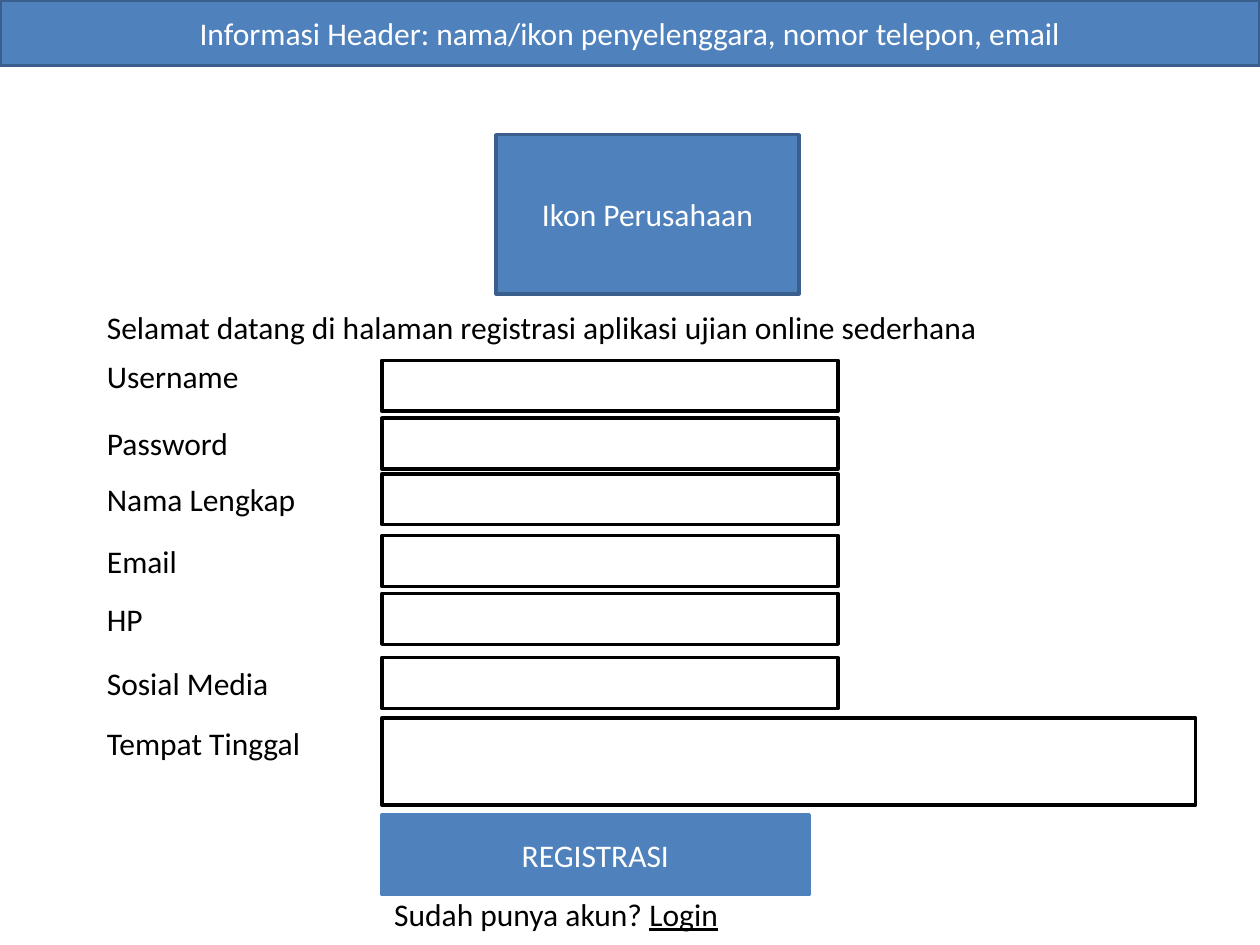
from pptx import Presentation
from pptx.dml.color import RGBColor as Rgb
from pptx.enum.shapes import MSO_SHAPE as Preset
from pptx.enum.text import MSO_ANCHOR as Anchor, MSO_AUTO_SIZE as AutoSize, PP_ALIGN as Align
from pptx.util import Pt

COLORS = {"blue": "4F81BD", "navy": "3A5F8C", "white": "FFFFFF", "black": "000000"}
FONT = {"name": "Calibri", "size": Pt(18)}
LABEL_FRAME = {"word_wrap": True, "auto_size": AutoSize.SHAPE_TO_FIT_TEXT}
BLOCK_FRAME = {"word_wrap": True, "vertical_anchor": Anchor.MIDDLE}

LEFT, FIELD_LEFT = 54, 218.2
LINE_HEIGHT = 29.1

# Label, label top, field top, field width, field height
FIELDS = [
    ("Username", 200.2, 205.9, 260.6, LINE_HEIGHT),
    ("Password", 239, 239, 260.6, LINE_HEIGHT),
    ("Nama Lengkap", 270.7, 270.7, 260.6, LINE_HEIGHT),
    ("Email", 306, 306, 260.6, LINE_HEIGHT),
    ("HP", 339.1, 339.1, 260.6, LINE_HEIGHT),
    ("Sosial Media", 375.8, 375.8, 260.6, LINE_HEIGHT),
    ("Tempat Tinggal", 410.4, 410.4, 465.1, 49.7),
]


def set_all(target, values):
    for name, value in values.items():
        setattr(target, name, value)


def color(name):
    return Rgb.from_string(COLORS[name])


def add_span(para, text, ink, **extra):
    span = para.add_run()
    span.text = text
    set_all(span.font, {**FONT, **extra})
    span.font.color.rgb = color(ink)


def add_label(page, box, *spans):
    label = page.shapes.add_textbox(*map(Pt, box))
    set_all(label.text_frame, LABEL_FRAME)
    for text, extra in spans:
        add_span(label.text_frame.paragraphs[0], text, "black", **extra)


def add_block(page, box, fill, line, text=""):
    block = page.shapes.add_shape(Preset.RECTANGLE, *map(Pt, box))
    block.shadow.inherit = False
    block.fill.solid()
    block.fill.fore_color.rgb = color(fill)
    block.line.color.rgb = color(line)
    block.line.width = Pt(2)
    if text:
        set_all(block.text_frame, BLOCK_FRAME)
        para = block.text_frame.paragraphs[0]
        para.alignment = Align.CENTER
        add_span(para, text, "white")


def add_header(page, left, top, width):
    # Contact bar, icon and welcome line
    add_block(page, (left, top, width, 37.6), "blue", "navy",
              "Informasi Header: nama/ikon penyelenggara, nomor telepon, email")
    add_block(page, (left + 283.5, top + 77, 173, 91), "blue", "navy", "Ikon Perusahaan")
    add_label(page, (left + LEFT, top + 172.4, 566.9, LINE_HEIGHT),
              ("Selamat datang di halaman registrasi aplikasi ujian online sederhana", {}))


def add_form(page, left, field_left):
    # One label and one input field per row
    for text, label_top, field_top, width, height in FIELDS:
        add_label(page, (left, label_top, field_left - left, LINE_HEIGHT), (text, {}))
        add_block(page, (field_left, field_top, width, height), "white", "black")


def add_actions(page, left, top):
    # Submit button and login link
    add_block(page, (left, top, 244, 45.4), "blue", "blue", "REGISTRASI")
    add_label(page, (left, top + 42, 311.8, LINE_HEIGHT),
              ("Sudah punya akun? ", {}), ("Login", {"underline": True}))


deck = Presentation()
set_all(deck, {"slide_width": Pt(720), "slide_height": Pt(540)})
page = deck.slides.add_slide(deck.slide_layouts[6])
add_header(page, 0, 0, 720)
add_form(page, LEFT, FIELD_LEFT)
add_actions(page, FIELD_LEFT, 465.8)
deck.save("out.pptx")
